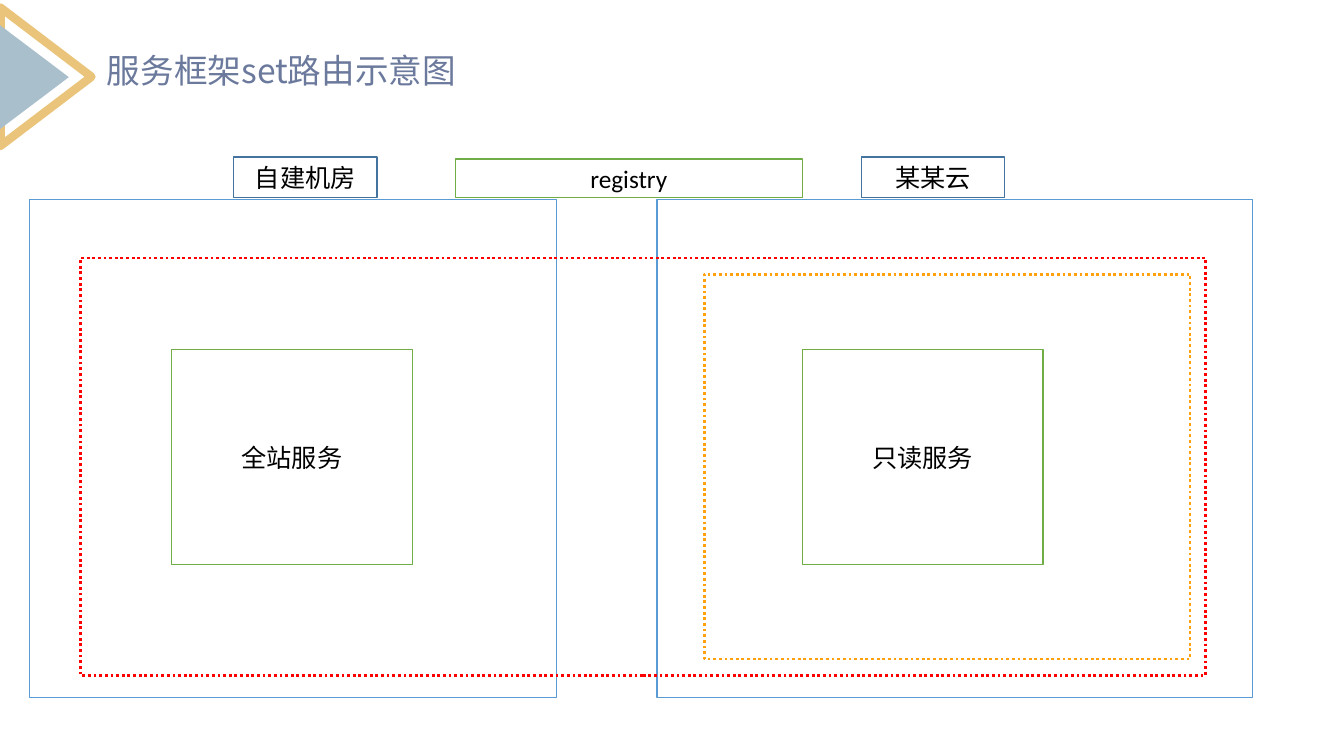
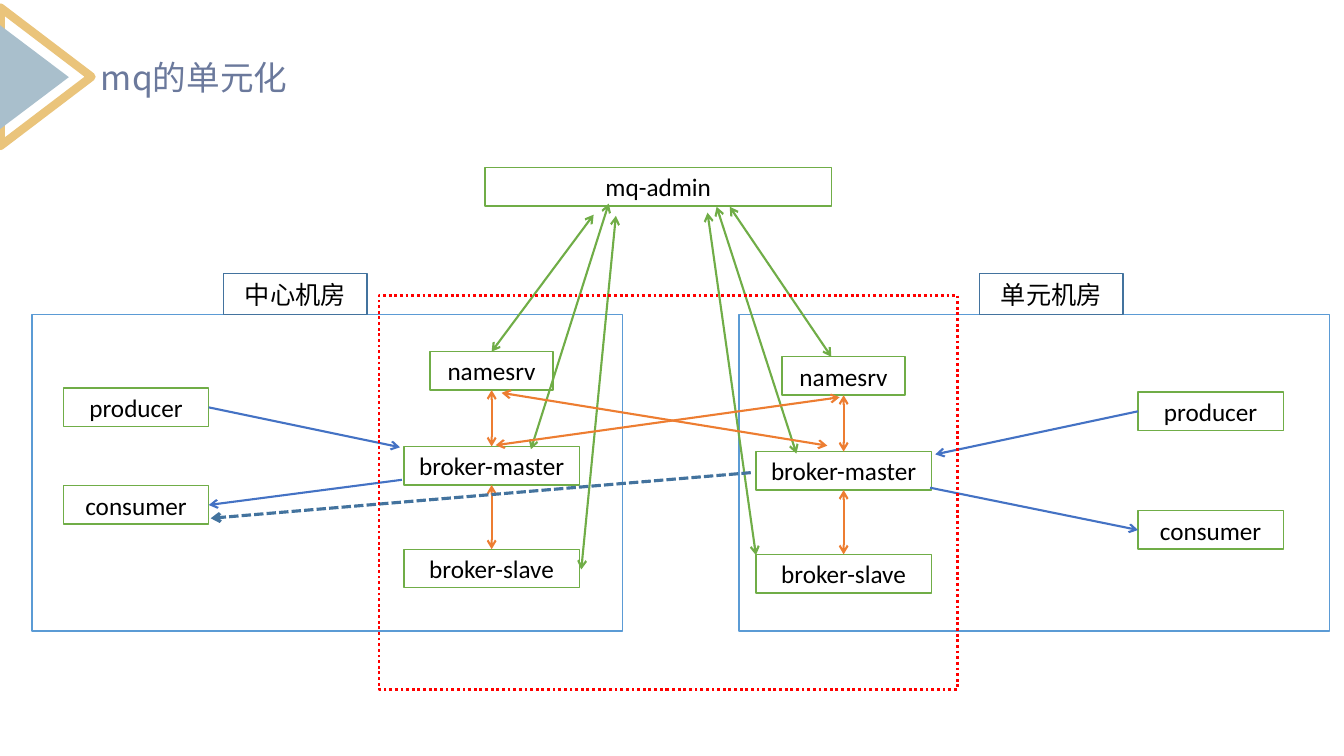
from collections import namedtuple

from lxml import etree
from pptx import Presentation
from pptx.dml.color import RGBColor
from pptx.enum.dml import MSO_LINE
from pptx.enum.shapes import MSO_CONNECTOR, MSO_SHAPE
from pptx.enum.text import MSO_ANCHOR, MSO_AUTO_SIZE, PP_ALIGN
from pptx.oxml.ns import qn
from pptx.util import Cm, Pt

RECTANGLE = MSO_SHAPE.RECTANGLE
TRIANGLE = MSO_SHAPE.ISOSCELES_TRIANGLE
STRAIGHT = MSO_CONNECTOR.STRAIGHT
DOTTED = MSO_LINE.ROUND_DOT
DASHED = MSO_LINE.SQUARE_DOT
MIDDLE = MSO_ANCHOR.MIDDLE
CENTER = PP_ALIGN.CENTER
LEFT_ALIGNED = PP_ALIGN.LEFT
NO_AUTO_SIZE = MSO_AUTO_SIZE.NONE
TOP, LEFT, BOTTOM, RIGHT = range(4)

COLORS = {
    "gold": "EAC47B",
    "mist": "A9BFCC",
    "title": "6B799C",
    "text": "000000",
    "white": "FFFFFF",
    "room": "5B9BD5",
    "label": "43739E",
    "service": "70AD47",
    "red": "FF0000",
    "amber": "FEA10D",
    "orange": "ED7D31",
    "blue": "4472C4",
}
LATIN_FONT = "Calibri"
CHINESE_FONT = "Noto Sans CJK SC"
TITLE_ONLY = 5
BOX_HEIGHT = 0.97
LABEL_WIDTH, LABEL_HEIGHT = 3.61, 1.02

Box = namedtuple("Box", "left top width height")
Joint = namedtuple("Joint", "shape site")
Cluster = namedtuple("Cluster", "left top namesrv")


def color(name):
    return RGBColor.from_string(COLORS[name])


def at(origin, x, y):
    return origin.left + x, origin.top + y


def write_text(shape, text, size, color_name, latin_font, alignment):
    frame = shape.text_frame
    frame.word_wrap = True
    frame.auto_size = NO_AUTO_SIZE
    frame.vertical_anchor = MIDDLE
    frame.margin_top = frame.margin_bottom = Cm(0)
    paragraph = frame.paragraphs[0]
    paragraph.alignment = alignment
    run = paragraph.add_run()
    run.text = text
    run.font.size = Pt(size)
    run.font.color.rgb = color(color_name)
    run.font.name = latin_font
    east_asian = etree.SubElement(run.font._element, qn("a:ea"))
    east_asian.set("typeface", CHINESE_FONT)


def add_box(slide, box, line=None, fill=None, text=None, width=1, dash=None, kind=RECTANGLE):
    shape = slide.shapes.add_shape(kind, *(Cm(length) for length in box))
    shape.shadow.inherit = False
    if fill:
        shape.fill.solid()
        shape.fill.fore_color.rgb = color(fill)
    else:
        shape.fill.background()
    if line:
        shape.line.color.rgb = color(line)
        shape.line.width = Pt(width)
        if dash:
            shape.line.dash_style = dash
    else:
        shape.line.fill.background()
    if text:
        write_text(shape, text, 18, "text", LATIN_FONT, CENTER)
    return shape


def add_service(slide, box, text):
    return add_box(slide, box, "service", "white", text)


def add_arrow(slide, start, end, color_name, both=False, width=1.5, dash=None):
    points = [(0, 0) if isinstance(point, Joint) else point for point in (start, end)]
    connector = slide.shapes.add_connector(
        STRAIGHT, *(Cm(length) for point in points for length in point)
    )
    if isinstance(start, Joint):
        connector.begin_connect(start.shape, start.site)
    if isinstance(end, Joint):
        connector.end_connect(end.shape, end.site)
    connector.line.color.rgb = color(color_name)
    connector.line.width = Pt(width)
    if dash:
        connector.line.dash_style = dash
    line_element = connector.line._get_or_add_ln()
    for tag in ("a:headEnd", "a:tailEnd") if both else ("a:tailEnd",):
        etree.SubElement(line_element, qn(tag)).set("type", "arrow")
    etree.SubElement(connector._element.spPr, qn("a:effectLst"))


def add_titled_slide(presentation, title, box):
    slide = presentation.slides.add_slide(presentation.slide_layouts[TITLE_ONLY])
    outline = add_box(slide, Box(-0.58, 0.79, 3.48, 2.29), "gold", width=6, kind=TRIANGLE)
    core = add_box(slide, Box(-0.46, 1.07, 2.64, 1.75), fill="mist", kind=TRIANGLE)
    outline.rotation = core.rotation = 90
    placeholder = slide.shapes.title
    placeholder.left, placeholder.top, placeholder.width, placeholder.height = (
        Cm(length) for length in box
    )
    write_text(placeholder, title, 24, "title", CHINESE_FONT, LEFT_ALIGNED)
    return slide


def add_room(slide, box, label, label_offset, gap=0):
    add_box(slide, box, "room", "white")
    label_box = Box(
        box.left + label_offset, box.top - LABEL_HEIGHT - gap, LABEL_WIDTH, LABEL_HEIGHT
    )
    add_box(slide, label_box, "label", text=label)


def add_service_room(slide, box, label, service, service_offset):
    add_room(slide, box, label, 5.15, gap=0.05)
    add_service(slide, Box(*at(box, service_offset, 3.78), 6.07, 5.41), service)


def add_cluster(slide, left, top):
    width, name_width = 4.42, 3.1
    name_left = left + (width - name_width) / 2
    namesrv = add_service(slide, Box(name_left, top, name_width, BOX_HEIGHT), "namesrv")
    master, slave = (
        add_service(slide, Box(left, top + offset, width, BOX_HEIGHT), text)
        for text, offset in (("broker-master", 2.39), ("broker-slave", 4.98))
    )
    for upper, lower in ((namesrv, master), (master, slave)):
        add_arrow(slide, Joint(upper, BOTTOM), Joint(lower, TOP), "orange", both=True)
    return Cluster(left, top, namesrv)


def add_clients(slide, room, left, producer_top, consumer_top):
    return [
        add_service(slide, Box(*at(room, left, top), 3.66, BOX_HEIGHT), text)
        for text, top in (("producer", producer_top), ("consumer", consumer_top))
    ]


def add_client_arrows(slide, clients, side, sent, received):
    producer, consumer = clients
    add_arrow(slide, Joint(producer, side), sent, "blue")
    add_arrow(slide, received, Joint(consumer, side), "blue")


def add_admin_links(slide, admin, left, right):
    links = (
        (Joint(left.namesrv, TOP), (2.74, 1.19)),
        (at(left, 3.2, 2.46), (3.12, 0.91)),
        (at(left, 4.47, 5.49), (3.3, 1.22)),
        (at(right, 1.9, 0), (6.17, 0.99)),
        (at(right, 1.02, 2.44), (5.84, 0.99)),
        (at(right, 0, 5), (5.61, 1.14)),
    )
    for start, offset in links:
        add_arrow(slide, start, at(admin, *offset), "service", both=True)


def add_routing_slide(presentation):
    slide = add_titled_slide(
        presentation, "服务框架set路由示意图", Box(2.44, 1.12, 11.58, 1.27)
    )
    add_service_room(slide, Box(0.74, 5.03, 13.28, 12.55), "自建机房", "全站服务", 3.58)
    add_service_room(slide, Box(16.56, 5.03, 15.01, 12.55), "某某云", "只读服务", 3.66)
    add_service(slide, Box(11.48, 4.01, 8.74, BOX_HEIGHT), "registry")
    add_box(slide, Box(2.03, 6.5, 28.35, 10.52), "red", width=2, dash=DOTTED)
    add_box(slide, Box(17.75, 6.91, 12.24, 9.7), "amber", width=2, dash=DOTTED)


def add_queue_slide(presentation):
    slide = add_titled_slide(presentation, "mq的单元化", Box(2.29, 1.3, 7.42, 1.27))
    center_room = Box(0.81, 7.92, 14.88, 7.98)
    unit_room = center_room._replace(left=18.62)
    add_room(slide, center_room, "中心机房", 4.83)
    add_room(slide, unit_room, "单元机房", 6.07)

    admin = Box(12.22, 4.22, 8.74, BOX_HEIGHT)
    add_service(slide, admin, "mq-admin")
    left = add_cluster(slide, *at(center_room, 9.37, 0.94))
    right = add_cluster(slide, *at(unit_room, 0.43, 1.07))
    center_clients = add_clients(slide, center_room, 0.79, 1.86, 4.32)
    unit_clients = add_clients(slide, unit_room, 10.06, 1.96, 4.95)

    add_admin_links(slide, admin, left, right)
    add_client_arrows(slide, center_clients, RIGHT, at(left, -0.1, 2.41), at(left, -0.05, 3.23))
    add_client_arrows(slide, unit_clients, LEFT, at(right, 4.52, 2.46), at(right, 4.39, 3.3))
    add_arrow(
        slide, at(right, -0.13, 2.92), at(center_room, 4.5, 5.14), "label",
        width=2.25, dash=DASHED,
    )
    add_box(slide, Box(9.55, 7.44, 14.58, 9.93), "red", width=2, dash=DOTTED)
    add_arrow(slide, at(right, 2.11, 1.02), at(left, 2.31, 2.36), "orange", both=True)
    add_arrow(slide, at(left, 2.46, 1.04), at(right, 1.8, 2.24), "orange", both=True)


def main():
    presentation = Presentation()
    presentation.slide_width = Cm(33.87)
    presentation.slide_height = Cm(19.05)
    add_routing_slide(presentation)
    add_queue_slide(presentation)
    presentation.save("out.pptx")


if __name__ == "__main__":
    main()
